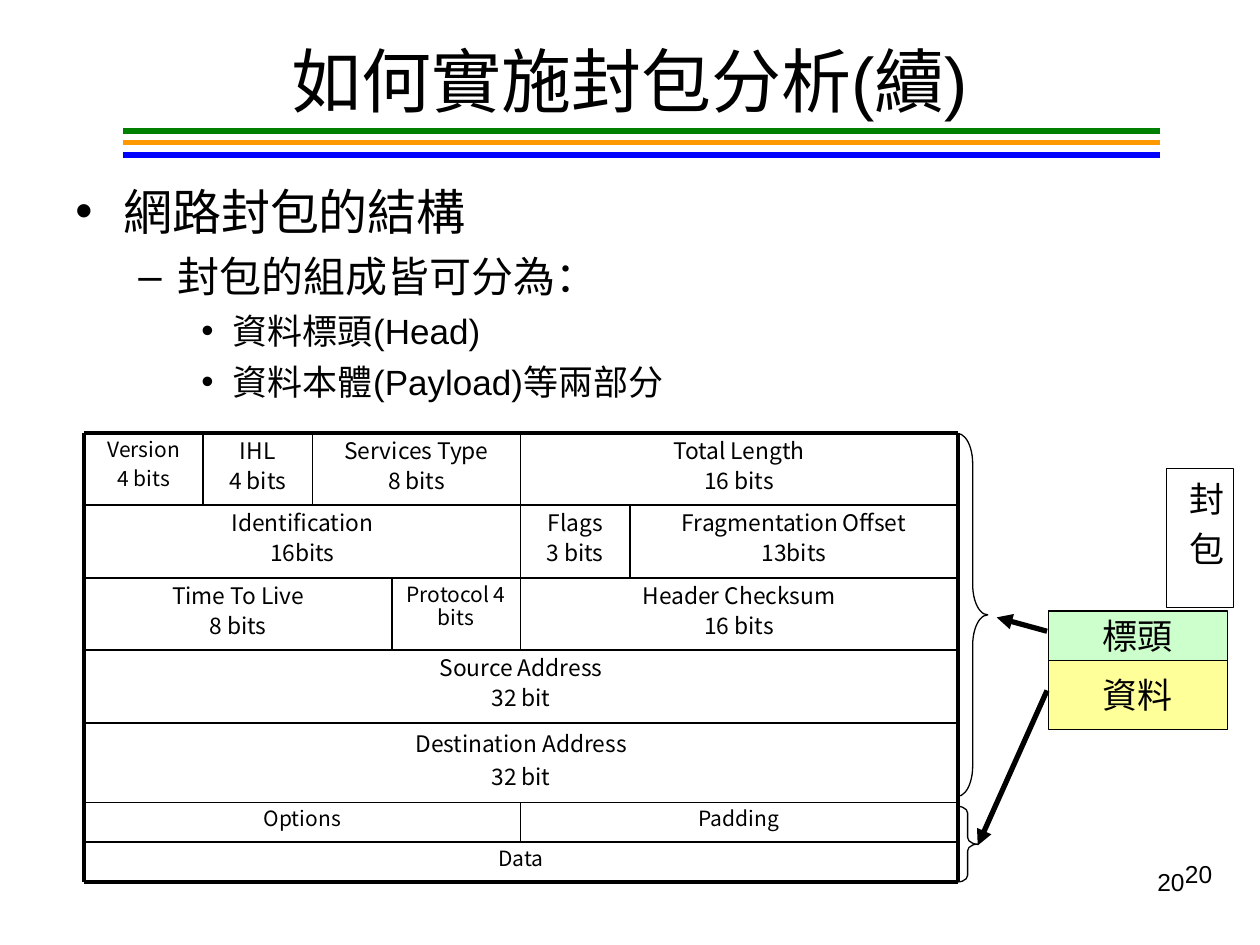
from lxml.etree import SubElement
from pptx import Presentation
from pptx.dml.color import RGBColor
from pptx.enum.shapes import MSO_CONNECTOR, MSO_SHAPE
from pptx.enum.text import MSO_ANCHOR, PP_ALIGN
from pptx.oxml.ns import qn
from pptx.util import Inches, Pt

COLORS = {
    "ink": "000000", "green": "008000", "orange": "FF9900", "blue": "0000FF",
    "mint": "CCFFCC", "lemon": "FFFF99",
}
CENTER = {"alignment": PP_ALIGN.CENTER}
FIELD = {**CENTER, "line_spacing": 0.9}
LOOSE_FIELD = {**CENTER, "line_spacing": 1.0}
MIDDLE = {"vertical_anchor": MSO_ANCHOR.MIDDLE}

EDGES = [3.44, 4.01, 4.59, 5.16, 5.74, 6.37, 6.68, 7]
LEFT, MID, RIGHT = 0.67, 4.13, 7.6
ROWS = [
    [(LEFT, ["Version", "4 bits"], 12), (1.61, ["IHL", "4 bits"], 13),
     (2.48, ["Services Type", "8 bits"], 13), (MID, ["Total Length", "16 bits"], 13)],
    [(LEFT, ["Identification", "16bits"], 13), (MID, ["Flags", "3 bits"], 13),
     (5, ["Fragmentation Offset", "13bits"], 13)],
    [(LEFT, ["Time To Live", "8 bits"], 13), (3.11, ["Protocol 4 bits"], 12),
     (MID, ["Header Checksum", "16 bits"], 13)],
    [(LEFT, ["Source Address", "32 bit"], 13)],
    [(LEFT, ["Destination Address", "32 bit"], 13)],
    [(LEFT, ["Options"], 12), (MID, ["Padding"], 12)],
    [(LEFT, ["Data"], 12)],
]
OUTLINE = [
    ("網路封包的結構", 28, 0, 0.38, 0.38, "•", 0),
    ("封包的組成皆可分為：", 24, 1, 0.81, 0.31, "–", 6),
    ("資料標頭(Head)", 20, 2, 1.25, 0.25, "•", 5),
    ("資料本體(Payload)等兩部分", 20, 2, 1.25, 0.25, "•", 5),
]


def apply(obj, values):
    for name, value in values.items():
        setattr(obj, name, value)


class SlideBuilder:
    def __init__(self, s, font="Arial", cell_font="Noto Sans CJK SC"):
        self.s, self.font, self.cell_font = s, font, cell_font

    def color(self, name):
        return RGBColor.from_string(COLORS[name])

    def run(self, p, text, size, font=None):
        r = p.add_run()
        r.text = text
        apply(r.font, {"size": Pt(size), "name": font or self.font})
        r.font.color.rgb = self.color("ink")
        return r

    def fill_text(self, tf, lines, size, fmt, font=None, gap=3.3):
        for i, line in enumerate(lines):
            p = tf.add_paragraph() if i else tf.paragraphs[0]
            apply(p, fmt)
            if i:
                p.space_before = Pt(gap)
            self.run(p, line, size, font)

    def text(self, box, lines, size, fmt, frame=None):
        tf = self.s.shapes.add_textbox(*map(Inches, box)).text_frame
        apply(tf, {"word_wrap": True, **(frame or {})})
        self.fill_text(tf, lines, size, fmt)

    def shape(self, kind, box, fill=None):
        sp = self.s.shapes.add_shape(kind, *map(Inches, box))
        sp.shadow.inherit = False
        if fill:
            sp.fill.solid()
            sp.fill.fore_color.rgb = self.color(fill)
        else:
            sp.fill.background()
        sp.line.color.rgb = self.color("ink")
        sp.line.width = Pt(0.75)
        return sp

    def box(self, box, lines, size, fmt, frame, fill=None, font=None):
        sp = self.shape(MSO_SHAPE.RECTANGLE, box, fill)
        apply(sp.text_frame, frame)
        self.fill_text(sp.text_frame, lines, size, fmt, font)
        return sp

    def brace(self, box, curve):
        sp = self.shape(MSO_SHAPE.RIGHT_BRACE, box)
        sp.adjustments[0] = curve
        sp.adjustments[1] = 0.5

    def line(self, x1, y1, x2, y2, width, color="ink", arrow=False):
        ends = map(Inches, (x1, y1, x2, y2))
        c = self.s.shapes.add_connector(MSO_CONNECTOR.STRAIGHT, *ends)
        c.line.color.rgb = self.color(color)
        c.line.width = Pt(width)
        if arrow:
            SubElement(c.line._get_or_add_ln(), qn("a:tailEnd"), type="triangle")
        SubElement(c._element.spPr, qn("a:effectLst"))

    def outline(self, box, items):
        tf = self.s.shapes.add_textbox(*map(Inches, box)).text_frame
        tf.word_wrap = True
        for i, (text, size, level, margin, hang, bullet, before) in enumerate(items):
            p = tf.add_paragraph() if i else tf.paragraphs[0]
            pPr = p._p.get_or_add_pPr()
            pPr.set("marL", str(Inches(margin)))
            pPr.set("indent", str(-Inches(hang)))
            SubElement(pPr, qn("a:buFont"), typeface=self.font)
            SubElement(pPr, qn("a:buChar"), char=bullet)
            apply(p, {"level": level, "space_before": Pt(before)})
            self.run(p, text, size)

    def packet(self):
        bands = list(zip(EDGES, EDGES[1:], ROWS))
        for top, bottom, row in bands:
            stops = [cell[0] for cell in row[1:]] + [RIGHT]
            for (x, lines, size), end in zip(row, stops):
                fmt = LOOSE_FIELD if "Destination Address" in lines else FIELD
                self.box((x, top, end - x, bottom - top), lines, size, fmt,
                         {"vertical_anchor": MSO_ANCHOR.TOP, "word_wrap": True},
                         font=self.cell_font)
        for top, bottom, row in bands:
            for x, *_ in row[1:]:
                self.line(x, top, x, bottom, 1)
        for y in EDGES:
            self.line(LEFT, y, RIGHT, y, 2.25 if y in (EDGES[0], EDGES[-1]) else 1)
        for x in (LEFT, RIGHT):
            self.line(x, EDGES[0], x, EDGES[-1], 2.25)


def main():
    prs = Presentation()
    apply(prs, {"slide_width": Inches(10), "slide_height": Inches(7.5)})
    b = SlideBuilder(prs.slides.add_slide(prs.slide_layouts[6]))

    for y, color in ((1.13, "orange"), (1.04, "green"), (1.23, "blue")):
        b.line(9.21, y, 0.98, y, 3, color)
    b.text((0.5, 0.21, 9, 0.85), ["如何實施封包分析(續)"], 40, CENTER, MIDDLE)
    b.outline((0.5, 1.39, 9, 4.95), OUTLINE)

    for y, h, label, fill in ((4.85, 0.39, "標頭", "mint"), (5.24, 0.55, "資料", "lemon")):
        b.box((8.32, y, 1.42, h), [label], 20, CENTER, {**MIDDLE, "word_wrap": False}, fill)
    margins = {"margin_left": Inches(0.05), "margin_right": Inches(0.05),
               "margin_top": Inches(0.1), "margin_bottom": Inches(0.1)}
    sp = b.box((9.26, 3.72, 0.53, 1.1), ["封 包"], 20, CENTER,
               {**margins, "vertical_anchor": MSO_ANCHOR.TOP, "word_wrap": True})
    sp.text_frame._txBody.bodyPr.set("vert", "eaVert")
    sp.text_frame.paragraphs[0].runs[0]._r.get_or_add_rPr().set("spc", "200")

    b.packet()
    b.brace((RIGHT, 3.44, 0.24, 2.88), 1)
    b.brace((RIGHT, 6.4, 0.16, 0.6), 0.33)
    b.line(8.31, 5.48, 7.76, 6.71, 3, arrow=True)
    b.line(8.31, 5.01, 7.91, 4.9, 3, arrow=True)

    for x, y in ((7.39, 6.77), (7.17, 6.83)):
        b.text((x, y, 2.33, 0.52), ["20"], 14, {"alignment": PP_ALIGN.RIGHT})
    prs.save("out.pptx")


if __name__ == "__main__":
    main()
